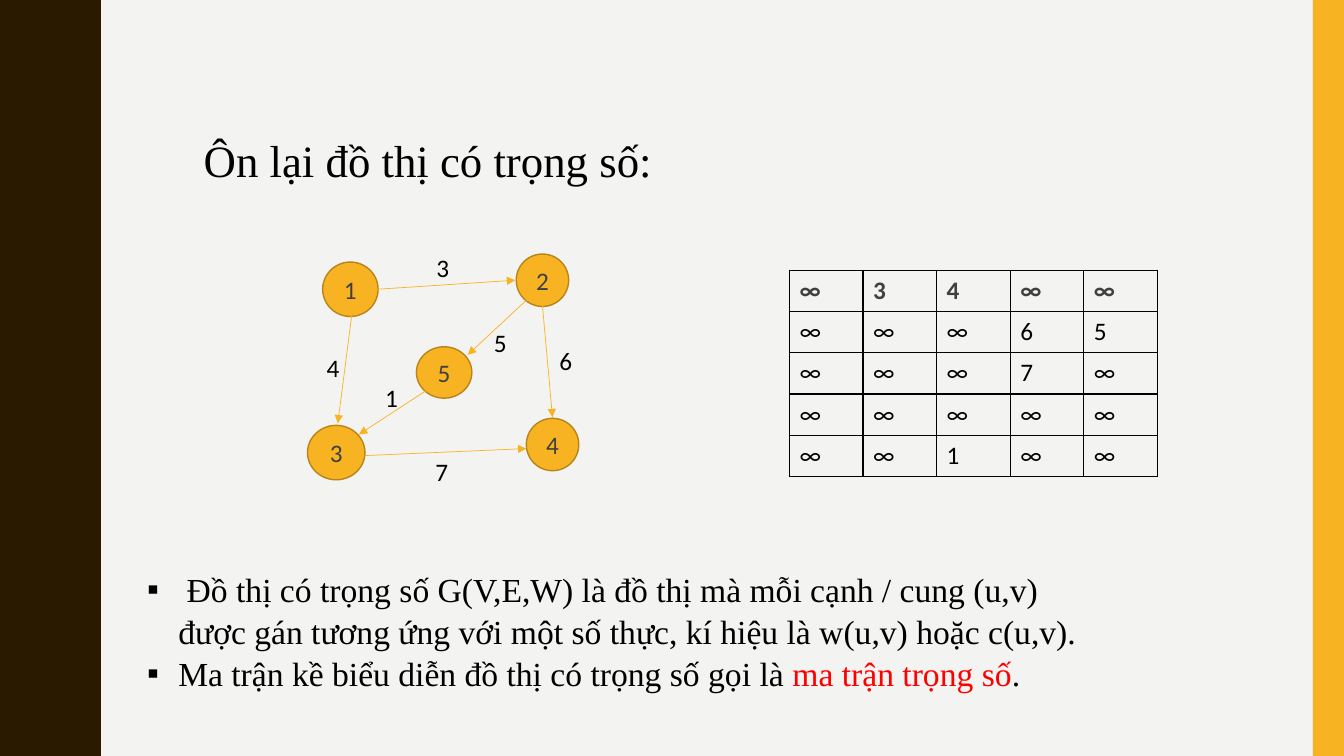
from lxml.etree import SubElement
from pptx import Presentation
from pptx.dml.color import RGBColor
from pptx.enum.shapes import MSO_CONNECTOR, MSO_SHAPE
from pptx.enum.text import MSO_ANCHOR, PP_ALIGN
from pptx.oxml.ns import qn
from pptx.util import Inches, Pt

WIDTH, HEIGHT = 13.33, 7.5
COLORS = {"background": "F3F3F2", "wave": "2A1A00", "gold": "F8B323", "rim": "B7841A",
          "black": "000000", "grey": "404040", "red": "FF0000"}
SERIF, SANS = "Times New Roman", "Calibri"

TITLE = "Ôn lại đồ thị có trọng số:"
BULLETS = [
    [(" Đồ thị có trọng số G(V,E,W) là đồ thị mà mỗi cạnh / cung (u,v) được gán tương ứng "
      "với một số thực, kí hiệu là w(u,v) hoặc c(u,v).", "black")],
    [("Ma trận kề biểu diễn đồ thị có trọng số gọi là ", "black"),
     ("ma trận trọng số", "red"), (".", "black")],
]
# vertex: left, top, width, height
VERTICES = {
    1: (3.2, 2.6, 0.55, 0.54),
    2: (5.12, 2.52, 0.52, 0.52),
    3: (3.05, 4.22, 0.57, 0.54),
    4: (5.22, 4.15, 0.52, 0.52),
    5: (4.13, 3.44, 0.55, 0.51),
}
# (from, to): weight, arrow start, arrow end, label left and top
EDGES = {
    (1, 2): (3, (3.74, 2.87), (5.11, 2.78), (4.23, 2.45)),
    (1, 3): (4, (3.49, 3.12), (3.35, 4.2), (3.14, 3.45)),
    (2, 4): (6, (5.38, 3.03), (5.48, 4.14), (5.45, 3.38)),
    (2, 5): (5, (5.23, 2.97), (4.64, 3.52), (4.8, 3.2)),
    (3, 4): (7, (3.62, 4.52), (5.22, 4.45), (4.22, 4.48)),
    (5, 3): (1, (4.25, 3.86), (3.56, 4.31), (3.72, 3.74)),
}
TABLE_LEFT, TABLE_TOP, COLUMN, ROW = 7.83, 2.68, 0.73, 0.41
# Rising half of one wave: x, y
WAVES = 5
HALF_WAVE = [(0.78, 0), (0.78, 0.07), (0.79, 0.14), (0.8, 0.2), (0.81, 0.25), (0.83, 0.29),
             (0.85, 0.33), (0.87, 0.38), (0.89, 0.42), (0.91, 0.46), (0.93, 0.5),
             (0.95, 0.55), (0.96, 0.61), (0.97, 0.68), (0.97, 0.75)]


def rgb(name):
    return RGBColor.from_string(COLORS[name])


def style_font(font, name, size, color, bold=False):
    font.name, font.size, font.bold = name, Pt(size), bold
    font.color.rgb = rgb(color)


def paint(shape, fill, line=None):
    shape.shadow.inherit = False
    shape.fill.solid()
    shape.fill.fore_color.rgb = rgb(fill)
    if line:
        shape.line.color.rgb = rgb(line)
        shape.line.width = Pt(1)
    else:
        shape.line.fill.background()


def add_text_box(slide, *box):
    frame = slide.shapes.add_textbox(*map(Inches, box)).text_frame
    frame.word_wrap = True
    return frame


def add_decoration(slide):
    period = HEIGHT / WAVES
    wave = HALF_WAVE + [(x, period - y) for x, y in HALF_WAVE[-2::-1]]
    edge = [(x, y + index * period) for index in range(WAVES) for x, y in wave]
    builder = slide.shapes.build_freeform(0, 0, scale=Inches(1))
    builder.add_line_segments(edge + [(0, HEIGHT)], close=True)
    paint(builder.convert_to_shape(), "wave")
    strip = slide.shapes.add_shape(MSO_SHAPE.RECTANGLE, Inches(13.02), 0,
                                   Inches(WIDTH - 13.02), Inches(HEIGHT))
    paint(strip, "gold")


def add_title(slide):
    paragraph = add_text_box(slide, 1.8, 1.27, 4.89, 0.64).paragraphs[0]
    paragraph.text = TITLE
    paragraph.alignment = PP_ALIGN.CENTER
    style_font(paragraph.font, SERIF, 32, "black")


def add_bullets(slide):
    frame = add_text_box(slide, 1.36, 5.57, 9.65, 1.62)
    for index, runs in enumerate(BULLETS):
        paragraph = frame.add_paragraph() if index else frame.paragraphs[0]
        paragraph.line_spacing = 1.05
        properties = paragraph._p.get_or_add_pPr()
        properties.set("marL", str(Inches(0.31)))
        properties.set("indent", str(-Inches(0.31)))
        SubElement(properties, qn("a:buFont")).set("typeface", "Arial")
        SubElement(properties, qn("a:buChar")).set("char", "▪")
        style_font(paragraph.font, SERIF, 24, "black")
        for text, color in runs:
            run = paragraph.add_run()
            run.text = text
            style_font(run.font, SERIF, 24, color)


def add_graph(slide):
    for number, box in VERTICES.items():
        vertex = slide.shapes.add_shape(MSO_SHAPE.FLOWCHART_CONNECTOR, *map(Inches, box))
        paint(vertex, "gold", "rim")
        vertex.text_frame.vertical_anchor = MSO_ANCHOR.MIDDLE
        paragraph = vertex.text_frame.paragraphs[0]
        paragraph.text = str(number)
        paragraph.alignment = PP_ALIGN.CENTER
        style_font(paragraph.font, SANS, 18, "grey")
    for weight, start, end, corner in EDGES.values():
        arrow = slide.shapes.add_connector(MSO_CONNECTOR.STRAIGHT, *map(Inches, start + end))
        arrow.line.color.rgb = rgb("gold")
        arrow.line.width = Pt(0.5)
        SubElement(arrow.line._get_or_add_ln(), qn("a:tailEnd")).set("type", "triangle")
        SubElement(arrow._element.spPr, qn("a:effectLst"))
        paragraph = add_text_box(slide, *corner, 0.32, 0.4).paragraphs[0]
        paragraph.text = str(weight)
        style_font(paragraph.font, SANS, 18, "black")


def add_borders(cell):
    properties = cell._tc.get_or_add_tcPr()
    for side in ("lnL", "lnR", "lnT", "lnB"):
        border = SubElement(properties, qn(f"a:{side}"), w=str(Pt(1)))
        fill = SubElement(border, qn("a:solidFill"))
        SubElement(fill, qn("a:srgbClr")).set("val", COLORS["black"])


def add_weight_matrix(slide):
    count = len(VERTICES)
    table = slide.shapes.add_table(count, count, Inches(TABLE_LEFT), Inches(TABLE_TOP),
                                   Inches(count * COLUMN), Inches(count * ROW)).table
    table.horz_banding = False
    for index in range(count):
        table.columns[index].width = Inches(COLUMN)
        table.rows[index].height = Inches(ROW)
    for source in range(count):
        for target in range(count):
            cell = table.cell(source, target)
            edge = EDGES.get((source + 1, target + 1))
            add_borders(cell)
            cell.fill.background()
            paragraph = cell.text_frame.paragraphs[0]
            paragraph.text = str(edge[0]) if edge else "∞"
            header = source == 0
            style_font(paragraph.font, SANS, 18, "grey" if header else "black", header)


def main():
    presentation = Presentation()
    presentation.slide_width, presentation.slide_height = Inches(WIDTH), Inches(HEIGHT)
    slide = presentation.slides.add_slide(presentation.slide_layouts[6])
    slide.background.fill.solid()
    slide.background.fill.fore_color.rgb = rgb("background")
    add_decoration(slide)
    add_title(slide)
    add_bullets(slide)
    add_graph(slide)
    add_weight_matrix(slide)
    presentation.save("out.pptx")


if __name__ == "__main__":
    main()
